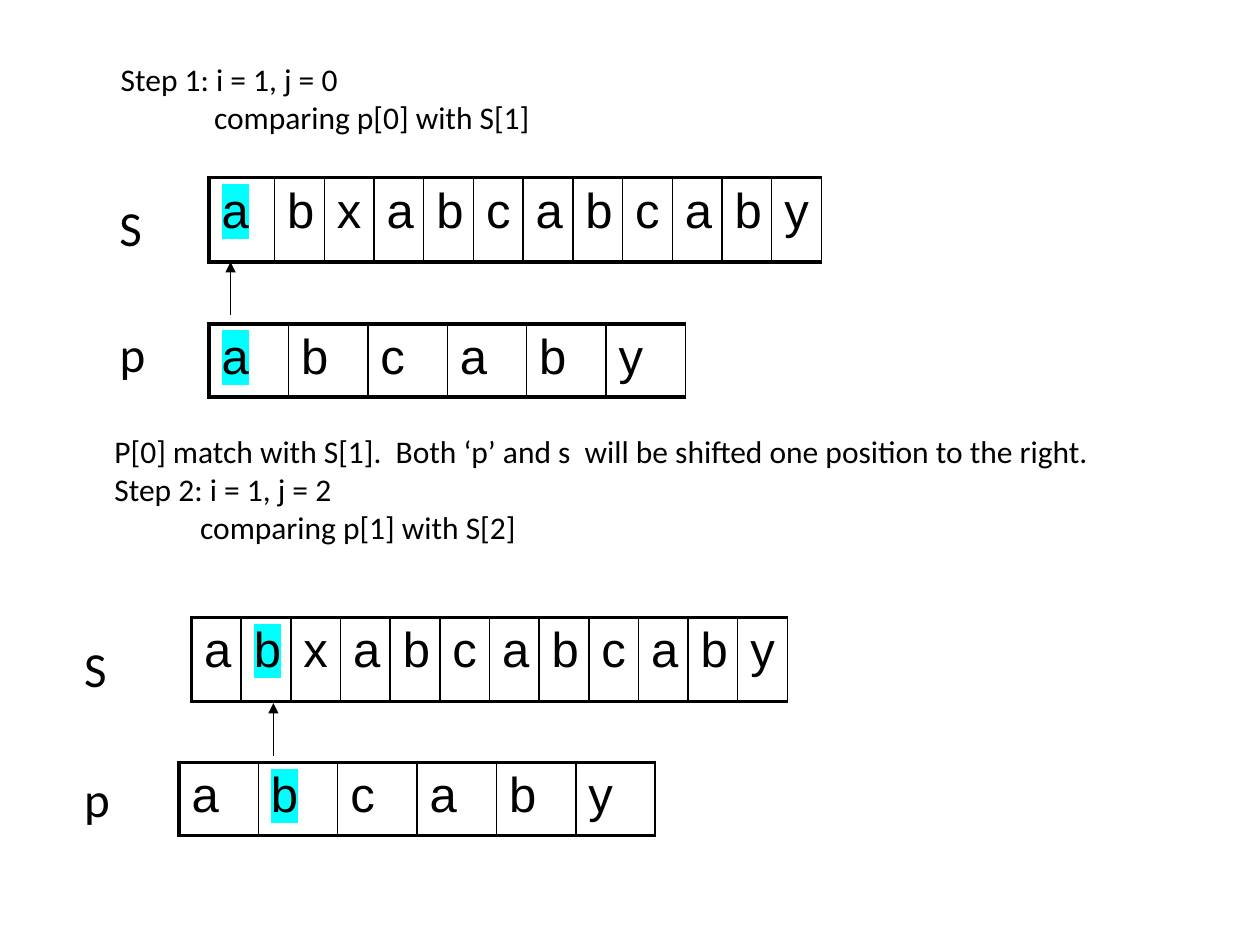
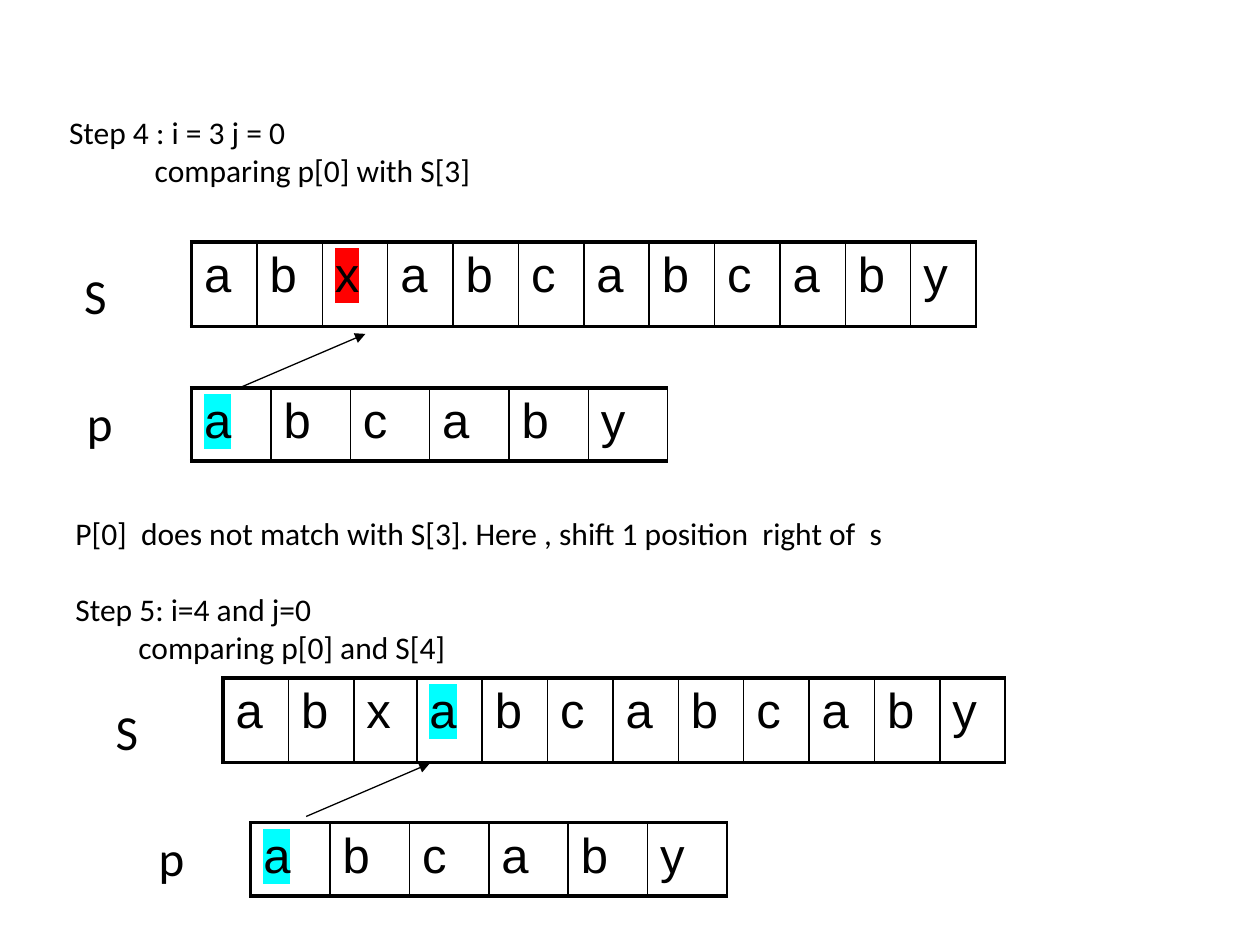
from lxml import etree
from pptx import Presentation
from pptx.dml.color import RGBColor
from pptx.enum.shapes import MSO_CONNECTOR
from pptx.enum.text import MSO_AUTO_SIZE as AUTO
from pptx.oxml import parse_xml
from pptx.oxml.ns import nsdecls, qn
from pptx.util import Inches, Pt

BLACK = RGBColor(0, 0, 0)
CYAN = RGBColor(0x00, 0xFF, 0xFF)
RED = RGBColor(0xFF, 0x00, 0x00)
TEXT = "abxabcabcaby"
PATTERN = "abcaby"
THIN, THICK = Pt(1), Pt(2.25)


def add_text(s, x, y, w, h, lines, size, wrap):
    tf = s.shapes.add_textbox(Inches(x), Inches(y), Inches(w), Inches(h)).text_frame
    tf.word_wrap = wrap
    tf.auto_size = AUTO.SHAPE_TO_FIT_TEXT
    tf.text = "\n".join(line for line, indent, before in lines)
    for p, (line, indent, before) in zip(tf.paragraphs, lines):
        p.space_before = Pt(before)
        p._p.get_or_add_pPr().set("marL", str(Inches(indent)))
        font = p.runs[0].font
        font.name, font.size = "Calibri", Pt(size)
        font.color.rgb = BLACK


def add_cells(s, x, y, w, h, letters, marked, mark_color, special):
    frame = s.shapes.add_table(1, len(letters), Inches(x), Inches(y), Inches(w), Inches(h))
    table = frame.table
    table.first_row = table.horz_banding = False
    table.rows[0].height = Inches(h)
    shared = (w - sum(special.values())) / (len(letters) - len(special))
    for i, letter in enumerate(letters):
        table.columns[i].width = Inches(special.get(i, shared))
        cell = table.cell(0, i)
        cell.text_frame.text = letter
        r = cell.text_frame.paragraphs[0].runs[0]
        r.font.name, r.font.size = "Arial", Pt(28)
        r.font.color.rgb = BLACK
        if i == marked:
            r._r.rPr.find(qn("a:solidFill")).addnext(parse_xml(
                f'<a:highlight {nsdecls("a")}><a:srgbClr val="{mark_color}"/></a:highlight>'))
        tcPr = cell._tc.get_or_add_tcPr()
        left = THIN if i else THICK
        for side, width in zip("LRTB", (left, THIN, THICK, THICK)):
            tcPr.append(parse_xml(
                f'<a:ln{side} {nsdecls("a")} w="{width}"><a:solidFill>'
                f'<a:srgbClr val="{BLACK}"/></a:solidFill></a:ln{side}>'))
        cell.fill.background()


slides = [
    {
        "notes": [
            (0.86, 0.43, 3.98, 0.71, True, [
                ("Step 1: i = 1, j = 0", 0, 0),
                ("comparing p[0] with S[1]", 0.74, 0)]),
            (0.81, 3.38, 8.42, 1.01, True, [
                ("P[0] match with S[1].  Both ‘p’ and s  will be shifted one position to the right.", 0, 0),
                ("Step 2: i = 1, j = 2", 0, 0),
                ("comparing p[1] with S[2]", 0.68, 0)]),
        ],
        "labels": [("S", 0.85, 1.52), ("p", 0.85, 2.52), ("S", 0.57, 5.02), ("p", 0.57, 6.05)],
        "texts": [(1.66, 1.41, 4.86, 0, CYAN, {0: 0.52}), (1.52, 4.9, 4.73, 1, CYAN, {})],
        "patterns": [(1.66, 2.57, 0), (1.42, 6.05, 1)],
        "arrows": [(1.83, 2.5, 1.83, 2.08), (2.17, 6, 2.17, 5.58)],
    },
    {
        "notes": [
            (0.45, 0.85, 3.43, 0.71, False, [
                ("Step 4 : i = 3 j = 0", 0, 0),
                ("comparing p[0] with S[3]", 0.68, 0)]),
            (0.5, 4.03, 8.42, 1.31, True, [
                ("P[0]  does not match with S[3]. Here , shift 1 position  right of  s", 0, 0),
                ("Step 5: i=4 and j=0", 0, 22),
                ("comparing p[0] and S[4]", 0.5, 0)]),
        ],
        "labels": [("S", 0.57, 2.06), ("p", 0.59, 3.07), ("S", 0.82, 5.52), ("p", 1.16, 6.52)],
        "texts": [(1.52, 1.92, 6.23, 2, RED, {}), (1.77, 5.38, 6.21, 3, CYAN, {2: 0.5})],
        "patterns": [(1.52, 3.08, 0), (1.99, 6.53, 0)],
        "arrows": [(1.92, 3.07, 2.9, 2.65), (2.43, 6.48, 3.41, 6.06)],
    },
]

prs = Presentation()
prs.slide_width, prs.slide_height = Inches(10), Inches(7.5)

for content in slides:
    s = prs.slides.add_slide(prs.slide_layouts[6])
    for x, y, w, h, wrap, lines in content["notes"]:
        add_text(s, x, y, w, h, lines, 18, wrap)
    for letter, x, y in content["labels"]:
        add_text(s, x, y, 0.46 if letter == "S" else 0.42, 0.57, [(letter, 0, 0)], 28, False)
    for x, y, w, marked, color, special in content["texts"]:
        add_cells(s, x, y, w, 0.67, TEXT, marked, color, special)
    for x, y, marked in content["patterns"]:
        add_cells(s, x, y, 3.78, 0.58, PATTERN, marked, CYAN, {})
    for ends in content["arrows"]:
        arrow = s.shapes.add_connector(MSO_CONNECTOR.STRAIGHT, *map(Inches, ends))
        arrow.line.color.rgb = BLACK
        arrow.line.width = Pt(0.75)
        etree.SubElement(arrow.line._get_or_add_ln(), qn("a:tailEnd"), type="triangle")
        etree.SubElement(arrow._element.spPr, qn("a:effectLst"))

prs.save("out.pptx")
